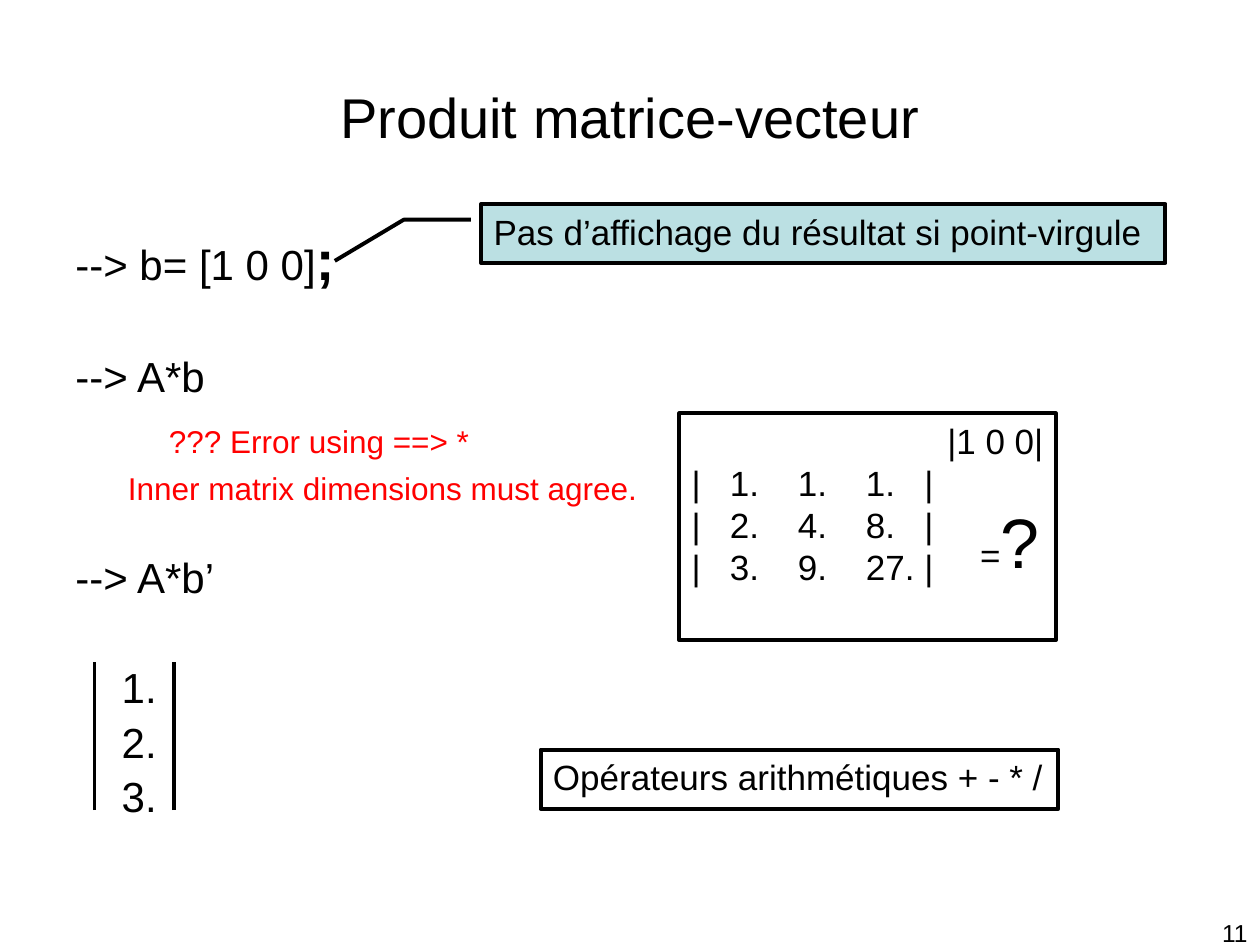
import pptx
import pptx.util
import pptx.dml.color
import pptx.enum.shapes
import pptx.enum.text
import pptx.oxml
import pptx.oxml.ns

Pt = pptx.util.Pt
RGBColor = pptx.dml.color.RGBColor
Shapes = pptx.enum.shapes.MSO_SHAPE
Align = pptx.enum.text.PP_ALIGN
Anchor = pptx.enum.text.MSO_ANCHOR

BLACK = RGBColor(0x00, 0x00, 0x00)
RED = RGBColor(0xFF, 0x00, 0x00)
PALE_BLUE = RGBColor(0xBB, 0xE0, 0xE3)

SESSION = [
    ([("--> b= [1 0 0]", 24, False), (";", 32, True)], 0, 0, 0.9, BLACK),
    ([("--> A*b", 24, False)], 36.4, 0, 0.9, BLACK),
    ([("??? Error using ==> *", 18, False)], 11.7, 53.4, 1.0, RED),
    ([("Inner matrix dimensions must agree.", 18, False)], 5.5, 30, 1.0, RED),
    ([("--> A*b’", 24, False)], 28.5, 0, 0.9, BLACK),
    ([("1.", 24, False)], 36.9, 26.5, 0.9, BLACK),
    ([("2.", 24, False)], 5.5, 26.5, 0.9, BLACK),
    ([("3.", 24, False)], 5.5, 26.5, 0.9, BLACK),
]
MATRIX = [("1.", "1.", "1."), ("2.", "4.", "8."), ("3.", "9.", "27.")]
MATRIX_TABS = (21.9, 60.8, 99.7, 133.1)


def apply_format(target, values):
    """Set each attribute of the target from a dict."""
    for name, value in values.items():
        setattr(target, name, value)


def add_run(paragraph, text, size, bold=False, color=BLACK):
    """Append a formatted run to a paragraph."""
    run = paragraph.add_run()
    run.text = text
    apply_format(run.font, {"name": "Arial", "size": Pt(size), "bold": bold})
    run.font.color.rgb = color


def next_paragraph(frame, first):
    """Return the existing first paragraph or a new one."""
    return frame.paragraphs[0] if first else frame.add_paragraph()


def add_text(slide, box, runs, wrap=True, align=Align.LEFT):
    """Add a one-paragraph text box."""
    frame = slide.shapes.add_textbox(*map(Pt, box)).text_frame
    frame.word_wrap = wrap
    frame.paragraphs[0].alignment = align
    for text, size in runs:
        add_run(frame.paragraphs[0], text, size)


def add_frame(slide, kind, box, fill=None, text=None, wrap=False):
    """Add an outlined shape with optional fill and text."""
    shape = slide.shapes.add_shape(kind, *map(Pt, box))
    shape.shadow.inherit = False
    if fill is None:
        shape.fill.background()
    else:
        shape.fill.solid()
        shape.fill.fore_color.rgb = fill
    shape.line.color.rgb = BLACK
    shape.line.width = Pt(2.25)
    frame = shape.text_frame
    apply_format(frame, {"word_wrap": wrap, "vertical_anchor": Anchor.TOP})
    frame.paragraphs[0].alignment = Align.LEFT
    if text:
        add_run(frame.paragraphs[0], text, 20)
    return shape


def add_tabs(paragraph, positions):
    """Give a paragraph left tab stops."""
    tabs = pptx.oxml.parse_xml("<a:tabLst %s/>" % pptx.oxml.ns.nsdecls("a"))
    for position in positions:
        tab = tabs.makeelement(pptx.oxml.ns.qn("a:tab"), {"pos": str(Pt(position)), "algn": "l"})
        tabs.append(tab)
    paragraph._p.get_or_add_pPr().append(tabs)


def add_title(slide, text):
    """Place and format the title placeholder."""
    title = slide.shapes.title
    apply_format(title, {"left": Pt(36), "top": Pt(21.6), "width": Pt(648), "height": Pt(90)})
    title.text_frame.vertical_anchor = Anchor.MIDDLE
    paragraph = title.text_frame.paragraphs[0]
    paragraph.alignment = Align.CENTER
    add_run(paragraph, text, 32)


def add_session(slide):
    """Add the console commands and their answers."""
    frame = slide.shapes.add_textbox(Pt(36), Pt(126), Pt(648), Pt(356.4)).text_frame
    apply_format(frame, {"word_wrap": True, "margin_top": Pt(6.4)})
    for index, (runs, before, indent, spacing, color) in enumerate(SESSION):
        paragraph = next_paragraph(frame, index == 0)
        apply_format(paragraph, {"space_before": Pt(before), "line_spacing": spacing})
        paragraph._p.get_or_add_pPr().set("marL", str(Pt(indent)))
        for text, size, bold in runs:
            add_run(paragraph, text, size, bold, color)


def add_matrix(slide):
    """Add the framed matrix with the row vector above it."""
    frame = add_frame(slide, Shapes.RECTANGLE, (388.1, 236.2, 215.3, 129.6), wrap=True).text_frame
    frame.paragraphs[0].alignment = Align.RIGHT
    add_run(frame.paragraphs[0], "|1 0 0|", 20)
    for row in MATRIX:
        paragraph = frame.add_paragraph()
        paragraph.alignment = Align.LEFT
        add_tabs(paragraph, MATRIX_TABS)
        add_run(paragraph, "\t".join(("|", *row, "|")), 20)


def add_bar(slide, x):
    """Add a vertical bar beside the result vector."""
    bar = slide.shapes.add_connector(
        pptx.enum.shapes.MSO_CONNECTOR.STRAIGHT, Pt(x), Pt(463), Pt(x), Pt(378))
    bar.line.color.rgb = BLACK
    bar.line.width = Pt(2.25)
    properties = bar._element.spPr
    properties.append(properties.makeelement(pptx.oxml.ns.qn("a:effectLst"), {}))


def main():
    """Build and save the slide."""
    presentation = pptx.Presentation()
    apply_format(presentation, {"slide_width": Pt(720), "slide_height": Pt(540)})
    slide = presentation.slides.add_slide(presentation.slide_layouts[5])
    add_text(slide, (552.2, 521.3, 167.8, 37.4), [("11", 14)], align=Align.RIGHT)
    add_title(slide, "Produit matrice-vecteur")
    add_session(slide)
    callout = add_frame(slide, Shapes.LINE_CALLOUT_2, (275, 116.6, 391, 33.8), PALE_BLUE,
                        "Pas d’affichage du résultat si point-virgule", wrap=True)
    for index, value in enumerate((0.265, -0.015, 0.265, -0.113, 0.963, -0.214)):
        callout.adjustments[index] = value
    add_matrix(slide)
    add_frame(slide, Shapes.RECTANGLE, (308.9, 428.4, 295.9, 33.8),
              text="Opérateurs arithmétiques + - * /")
    add_text(slide, (553, 281.5, 48.2, 55.4), [("=", 20), ("?", 40)], wrap=False)
    for x in (99.4, 54):
        add_bar(slide, x)
    presentation.save("out.pptx")


if __name__ == "__main__":
    main()
